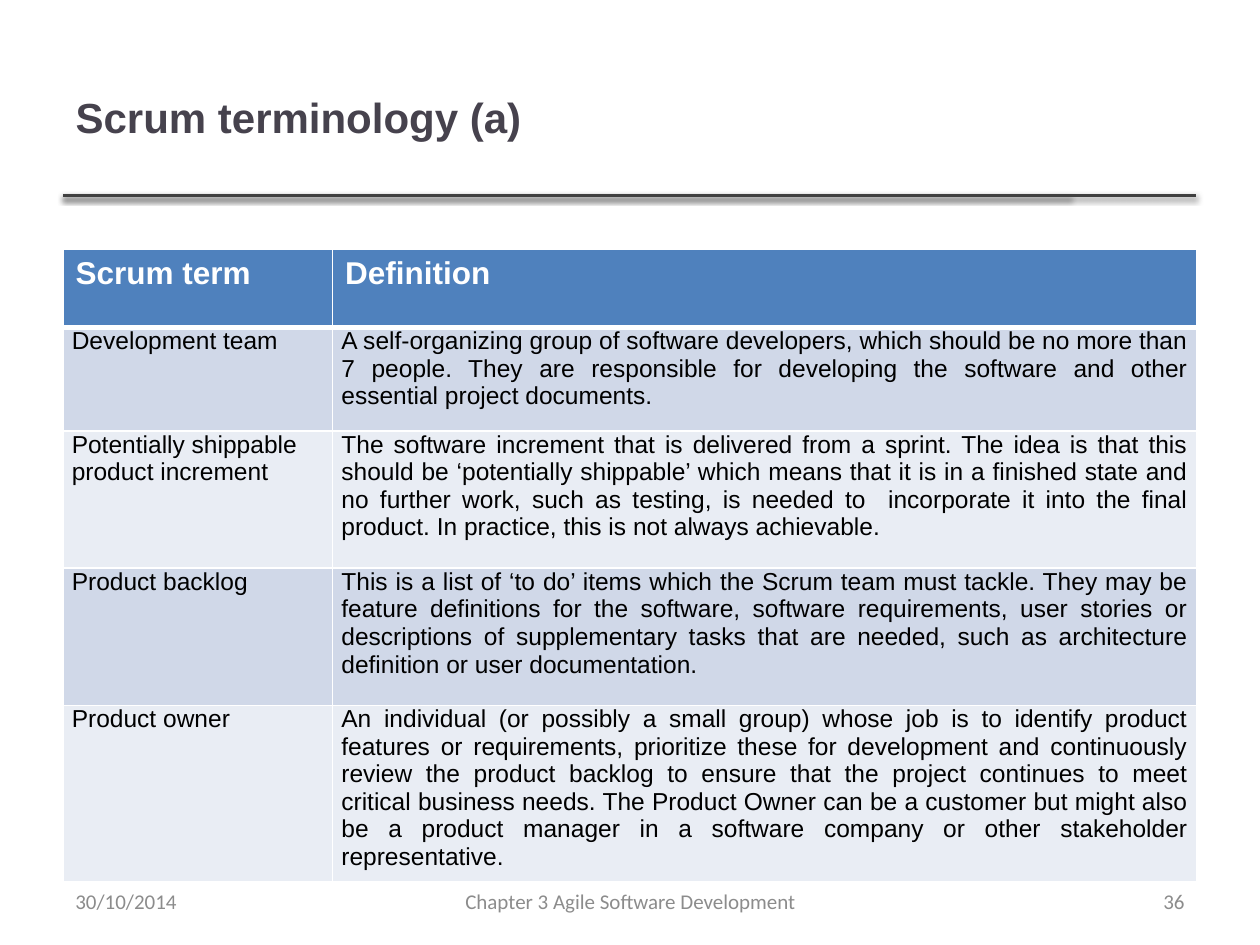
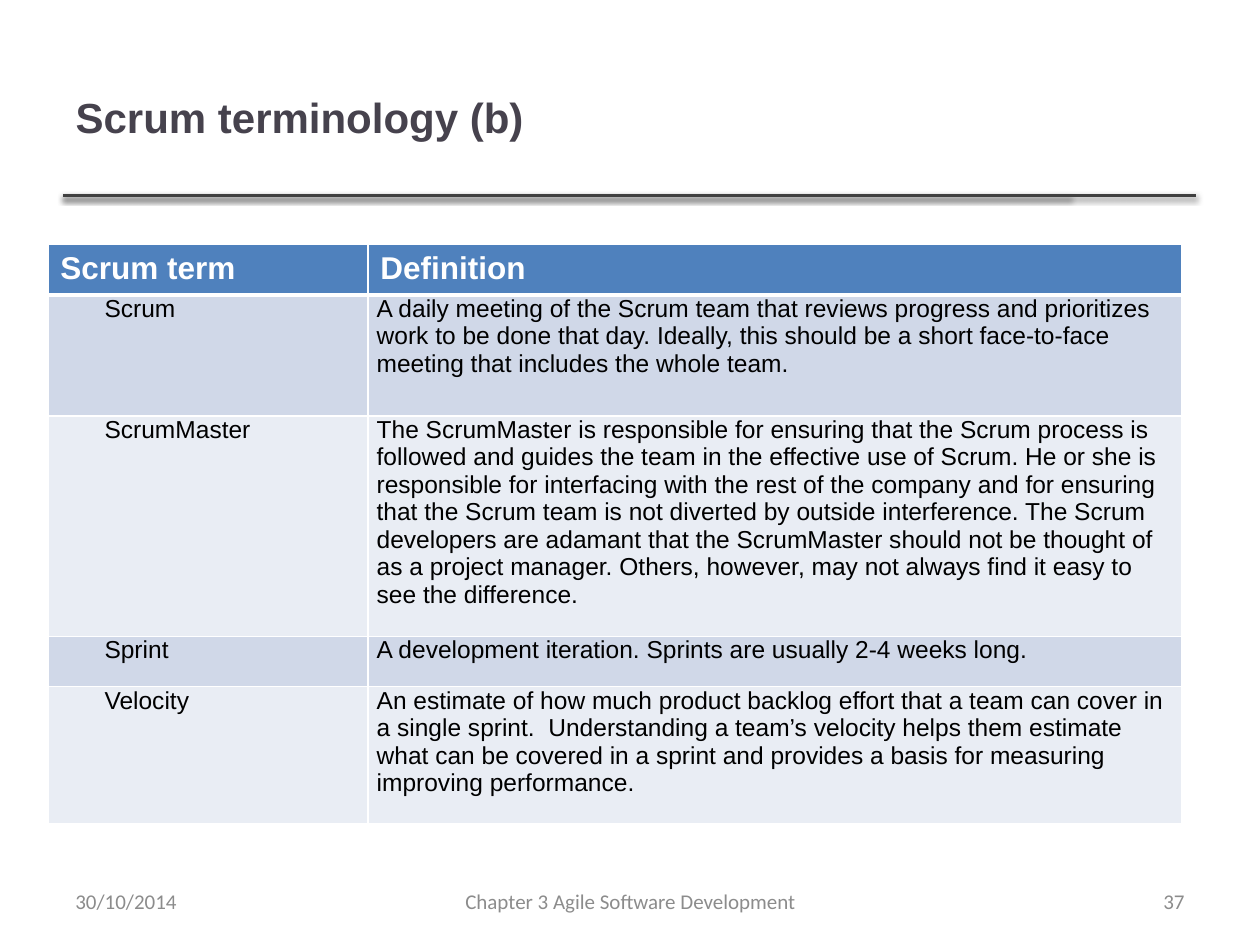
from lxml import etree
from pptx import Presentation
from pptx import util as u
from pptx.dml.color import RGBColor
from pptx.enum import shapes, text
from pptx.oxml import ns, parse_xml

TITLE = RGBColor(0x46, 0x42, 0x4D)
RULE = RGBColor(0x40, 0x40, 0x40)
FOOTER = RGBColor(0x8C, 0x8C, 0x8C)
HEADER = RGBColor(0x4F, 0x81, 0xBD)
BANDS = (RGBColor(0xD0, 0xD8, 0xE8), RGBColor(0xE9, 0xED, 0xF4))
WHITE = RGBColor(0xFF, 0xFF, 0xFF)
BLACK = RGBColor(0, 0, 0)

LEFT, CENTER, RIGHT, JUSTIFY = (
    text.PP_ALIGN.LEFT, text.PP_ALIGN.CENTER, text.PP_ALIGN.RIGHT, text.PP_ALIGN.JUSTIFY)

TITLE_FONT = {"name": "Arial", "size": u.Pt(24), "bold": True}
HEADER_FONT = {"name": "Arial", "size": u.Pt(18), "bold": True}
BODY_FONT = {"name": "Arial", "size": u.Pt(14), "bold": False}
FOOTER_FONT = {"name": "Calibri", "size": u.Pt(12), "bold": False}

SHADOW = (
    f'<a:effectLst {ns.nsdecls("a")}>'
    '<a:outerShdw blurRad="40000" dist="20000" dir="5400000" rotWithShape="0">'
    '<a:srgbClr val="000000"><a:alpha val="38000"/></a:srgbClr>'
    '</a:outerShdw></a:effectLst>')

COLUMNS = ("Scrum term", "Definition")
TERMS_A = [
    ("Development team",
     "A self-organizing group of software developers, which should be no more than 7 people. "
     "They are responsible for developing the software and other essential project documents."),
    ("Potentially shippable product increment",
     "The software increment that is delivered from a sprint. The idea is that this should be "
     "‘potentially shippable’ which means that it is in a finished state and no further work, "
     "such as testing, is needed to  incorporate it into the final product. In practice, this "
     "is not always achievable."),
    ("Product backlog",
     "This is a list of ‘to do’ items which the Scrum team must tackle. They may be feature "
     "definitions for the software, software requirements, user stories or descriptions of "
     "supplementary tasks that are needed, such as architecture definition or user "
     "documentation."),
    ("Product owner",
     "An individual (or possibly a small group) whose job is to identify product features or "
     "requirements, prioritize these for development and continuously review the product "
     "backlog to ensure that the project continues to meet critical business needs. The "
     "Product Owner can be a customer but might also be a product manager in a software "
     "company or other stakeholder representative."),
]
TERMS_B = [
    ("Scrum",
     "A daily meeting of the Scrum team that reviews progress and prioritizes work to be done "
     "that day. Ideally, this should be a short face-to-face meeting that includes the whole "
     "team."),
    ("ScrumMaster",
     "The ScrumMaster is responsible for ensuring that the Scrum process is followed and guides "
     "the team in the effective use of Scrum. He or she is responsible for interfacing with the "
     "rest of the company and for ensuring that the Scrum team is not diverted by outside "
     "interference. The Scrum developers are adamant that the ScrumMaster should not be thought "
     "of as a project manager. Others, however, may not always find it easy to see the "
     "difference."),
    ("Sprint", "A development iteration. Sprints are usually 2-4 weeks long."),
    ("Velocity",
     "An estimate of how much product backlog effort that a team can cover in a single sprint.  "
     "Understanding a team’s velocity helps them estimate what can be covered in a sprint and "
     "provides a basis for measuring improving performance."),
]


def write(tf, words, font, color, align=LEFT):
    p = tf.paragraphs[0]
    p.alignment = align
    r = p.add_run()
    r.text = words
    for name, value in font.items():
        setattr(r.font, name, value)
    r.font.color.rgb = color
    return p


def place(sp, left, top, width, height):
    box = {"left": left, "top": top, "width": width, "height": height}
    for name, value in box.items():
        setattr(sp, name, u.Inches(value))


def add_title(s, words):
    sp = s.shapes.title
    place(sp, 0.5, 0.3, 7.98, 1.25)
    tf = sp.text_frame
    tf.word_wrap = True
    tf.vertical_anchor = text.MSO_ANCHOR.MIDDLE
    write(tf, words, TITLE_FONT, TITLE)


def add_rule(s, right):
    y = u.Inches(1.55)
    line = s.shapes.add_connector(
        shapes.MSO_CONNECTOR.STRAIGHT, u.Inches(0.5), y, u.Inches(right), y)
    line.line.color.rgb = RULE
    line.line.width = u.Pt(2)
    line._element.spPr.append(parse_xml(SHADOW))


def add_footer(s, words, left, width, align):
    sp = s.shapes.add_textbox(
        u.Inches(left), u.Inches(6.95), u.Inches(width), u.Inches(0.4))
    tf = sp.text_frame
    tf.word_wrap = True
    tf.vertical_anchor = text.MSO_ANCHOR.MIDDLE
    write(tf, words, FOOTER_FONT, FOOTER, align)


def add_borders(cell, top, bottom):
    tcPr = cell._tc.get_or_add_tcPr()
    edges = {"lnL": 1, "lnR": 1, "lnT": top, "lnB": bottom}
    for i, (tag, width) in enumerate(edges.items()):
        ln = etree.Element(ns.qn(f"a:{tag}"), w=str(u.Pt(width)))
        fill = etree.SubElement(ln, ns.qn("a:solidFill"))
        etree.SubElement(fill, ns.qn("a:srgbClr"), val=str(WHITE))
        tcPr.insert(i, ln)


def format_cell(cell, fill, top=1, bottom=1):
    cell.fill.solid()
    cell.fill.fore_color.rgb = fill
    add_borders(cell, top, bottom)


def add_terms(s, terms, left, top, widths, heights, align, indent):
    table = s.shapes.add_table(
        len(heights), len(widths), u.Inches(left), u.Inches(top),
        u.Inches(sum(widths)), u.Inches(sum(heights))).table
    table.horz_banding = False
    for column, width in zip(table.columns, widths):
        column.width = u.Inches(width)
    for row, height in zip(table.rows, heights):
        row.height = u.Inches(height)
    for c, words in enumerate(COLUMNS):
        cell = table.cell(0, c)
        format_cell(cell, HEADER, bottom=3)
        write(cell.text_frame, words, HEADER_FONT, WHITE)
    margins = {"margin_left": 0.07, "margin_right": 0.07, "margin_top": 0, "margin_bottom": 0}
    for r, entry in enumerate(terms, 1):
        for c, words in enumerate(entry):
            cell = table.cell(r, c)
            format_cell(cell, BANDS[(r - 1) % 2], top=3 if r == 1 else 1)
            for name, value in margins.items():
                setattr(cell, name, u.Inches(value))
            p = write(cell.text_frame, words, BODY_FONT, BLACK, align if c else LEFT)
            if c == 0 and indent:
                p._p.get_or_add_pPr().set("indent", str(u.Inches(indent)))


def add_slide(prs, title, number):
    s = prs.slides.add_slide(prs.slide_layouts[5])
    for right in (8.49, 9.49):
        add_rule(s, right)
    add_title(s, title)
    add_footer(s, "Chapter 3 Agile Software Development", 3.42, 3.17, CENTER)
    add_footer(s, str(number), 7.17, 2.33, RIGHT)
    add_footer(s, "30/10/2014", 0.5, 2.33, LEFT)
    return s


def main():
    prs = Presentation()
    prs.slide_width = u.Inches(10)
    prs.slide_height = u.Inches(7.5)
    s = add_slide(prs, "Scrum terminology (a)", 36)
    add_terms(s, TERMS_A, 0.5, 1.98, (2.14, 6.86), (0.62, 0.82, 1.09, 1.09, 1.31), JUSTIFY, 0)
    s = add_slide(prs, "Scrum terminology (b)", 37)
    add_terms(s, TERMS_B, 0.38, 1.94, (2.54, 6.46), (0.4, 0.96, 1.75, 0.4, 1.09), LEFT, 0.38)
    prs.save("out.pptx")


if __name__ == "__main__":
    main()
